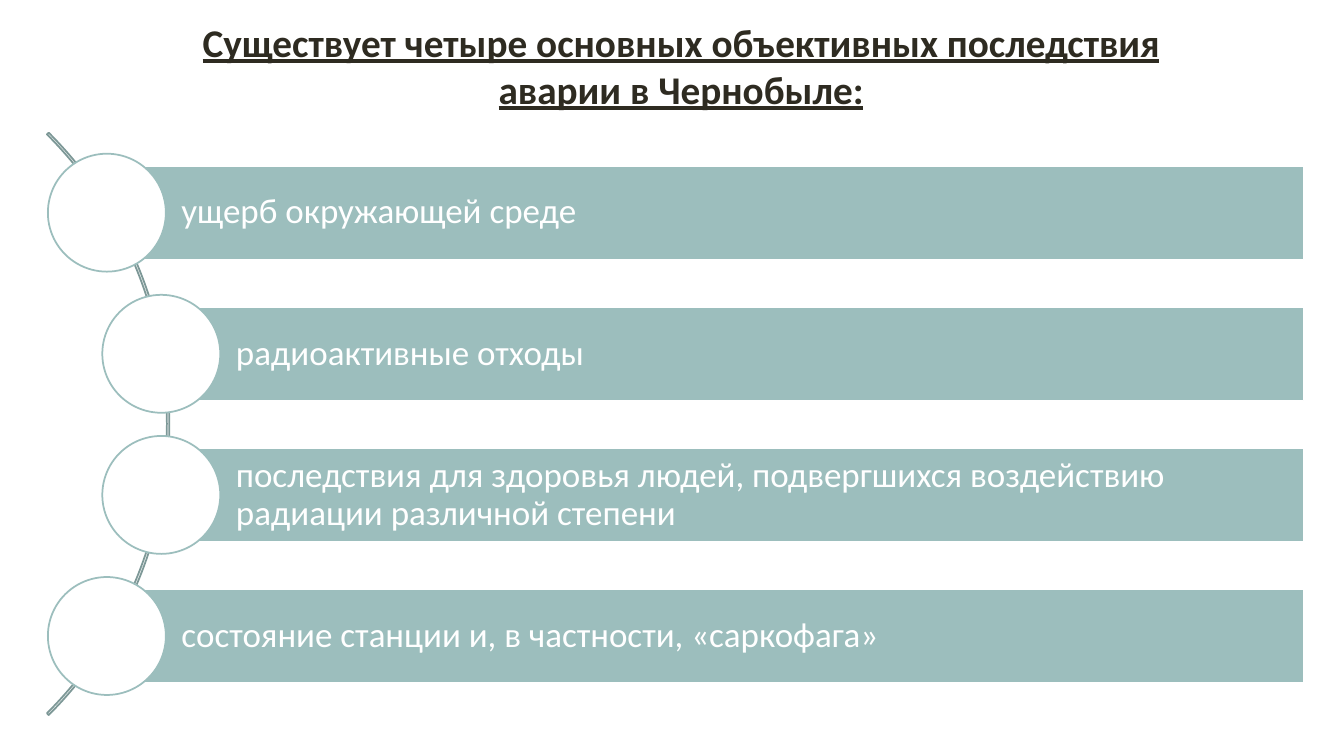
from dataclasses import dataclass

import pptx
import pptx.dml.color
import pptx.enum.shapes
import pptx.enum.text
import pptx.util

Inches = pptx.util.Inches
Shapes = pptx.enum.shapes.MSO_SHAPE
Align = pptx.enum.text.PP_ALIGN
Anchor = pptx.enum.text.MSO_ANCHOR


@dataclass(frozen=True)
class Theme:
    font: str = "Calibri"
    title_size: int = 28
    item_size: int = 25
    line_width: float = 1.25
    title: str = "2E2B21"
    bar: str = "9CBEBD"
    arc: str = "7D9897"
    white: str = "FFFFFF"


theme = Theme()


def add_outlined_shape(kind, left, top, width, height, line, fill=None):
    shape = slide.shapes.add_shape(
        kind, Inches(left), Inches(top), Inches(width), Inches(height))
    shape.shadow.inherit = False
    shape.line.color.rgb = pptx.dml.color.RGBColor.from_string(line)
    shape.line.width = pptx.util.Pt(theme.line_width)
    if fill:
        shape.fill.solid()
        shape.fill.fore_color.rgb = pptx.dml.color.RGBColor.from_string(fill)
    else:
        shape.fill.background()
    return shape


def write_text(paragraph, text, size, color):
    run = paragraph.add_run()
    run.text = text
    run.font.name = theme.font
    run.font.size = pptx.util.Pt(size)
    run.font.color.rgb = pptx.dml.color.RGBColor.from_string(color)
    return run


presentation = pptx.Presentation()
presentation.slide_width = Inches(13.33)
presentation.slide_height = Inches(7.5)
slide = presentation.slides.add_slide(presentation.slide_layouts[6])

# Title
title_box = slide.shapes.add_textbox(
    Inches(1.26), Inches(0.13), Inches(10.99), Inches(1.04))
title_box.text_frame.word_wrap = True
title_box.text_frame.auto_size = pptx.enum.text.MSO_AUTO_SIZE.SHAPE_TO_FIT_TEXT
title_paragraph = title_box.text_frame.paragraphs[0]
title_paragraph.alignment = Align.CENTER
title_run = write_text(
    title_paragraph,
    "Существует четыре основных объективных последствия аварии в Чернобыле:",
    theme.title_size, theme.title)
title_run.font.bold = True
title_run.font.underline = True

# Arc from 315 to 45 degrees behind the circles
arc = add_outlined_shape(
    Shapes.BLOCK_ARC, -6.49, 0.12, 8.17, 8.17, theme.arc)
for index, value in enumerate((189, 27, 0.003)):
    arc.adjustments[index] = value

# Bars, each with a circle centred on its left edge
OUTER_LEFT, INNER_LEFT, BAR_RIGHT = 1.06, 1.6, 12.93
FIRST_CENTER, ROW_STEP = 2.11, 1.4
BAR_HEIGHT, CIRCLE_SIZE = 0.93, 1.17
consequences = [
    (OUTER_LEFT, "ущерб окружающей среде"),
    (INNER_LEFT, "радиоактивные отходы"),
    (INNER_LEFT, "последствия для здоровья людей, подвергшихся воздействию "
                 "радиации различной степени"),
    (OUTER_LEFT, "состояние станции и, в частности, «саркофага»"),
]
for row, (left, text) in enumerate(consequences):
    center = FIRST_CENTER + row * ROW_STEP
    bar = add_outlined_shape(
        Shapes.RECTANGLE, left, center - BAR_HEIGHT / 2,
        BAR_RIGHT - left, BAR_HEIGHT, theme.white, theme.bar)
    frame = bar.text_frame
    frame.word_wrap = True
    frame.vertical_anchor = Anchor.MIDDLE
    frame.margin_left = Inches(0.74)
    frame.margin_top = frame.margin_right = frame.margin_bottom = Inches(0.07)
    paragraph = frame.paragraphs[0]
    paragraph.alignment = Align.LEFT
    paragraph.line_spacing = 0.9
    write_text(paragraph, text, theme.item_size, theme.white)
    add_outlined_shape(
        Shapes.OVAL, left - CIRCLE_SIZE / 2, center - CIRCLE_SIZE / 2,
        CIRCLE_SIZE, CIRCLE_SIZE, theme.bar, theme.white)

presentation.save("out.pptx")
